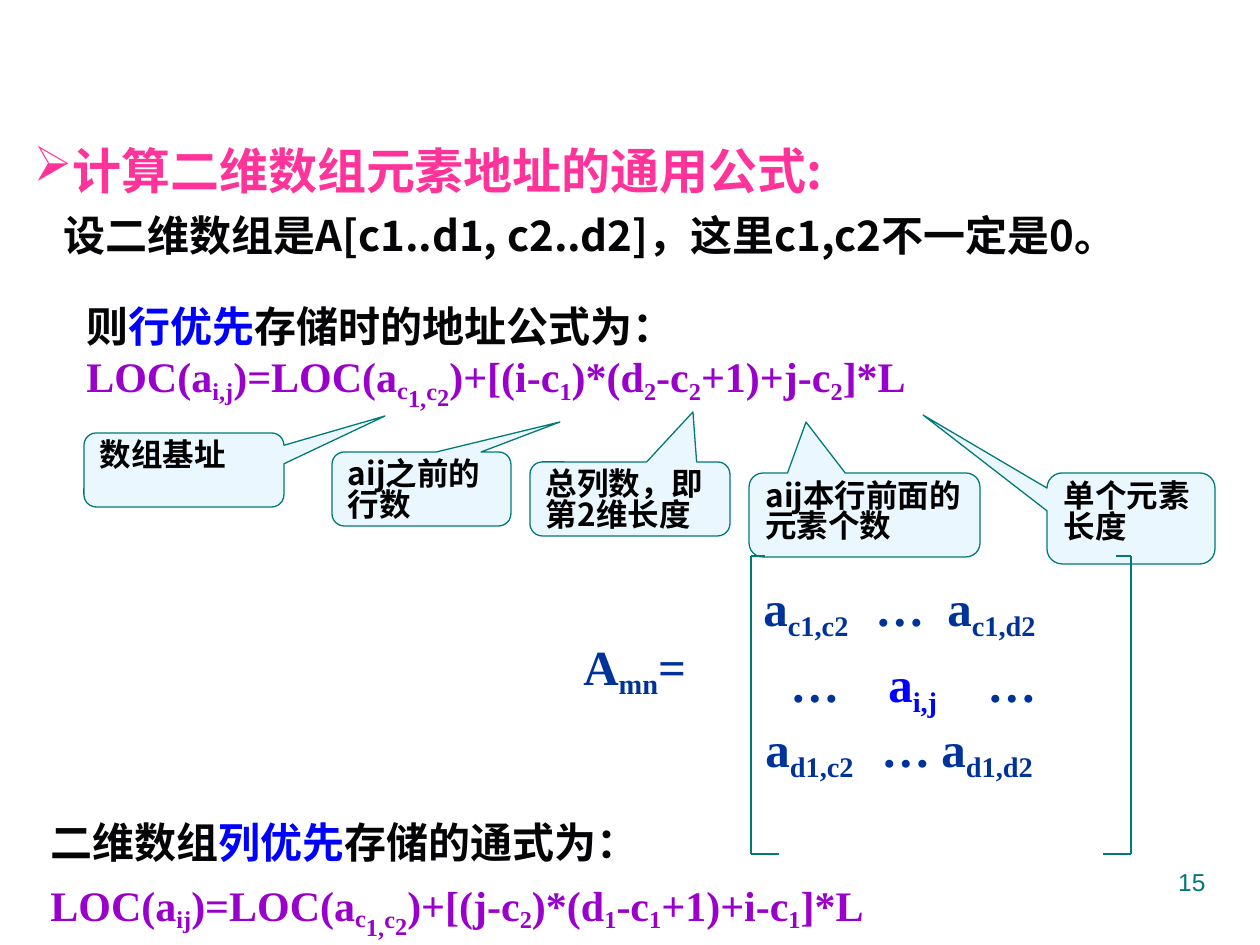
from dataclasses import dataclass
from pptx import Presentation
from pptx.dml.color import RGBColor as Rgb
from pptx.enum.shapes import MSO_CONNECTOR as Conn, MSO_SHAPE as Kind
from pptx.enum.text import MSO_ANCHOR as Anchor, MSO_AUTO_SIZE as Fit, PP_ALIGN as Align
from pptx.oxml.ns import qn
from pptx.util import Pt
from lxml.etree import SubElement as Sub


@dataclass(frozen=True)
class Theme:
    pink: str = "FF3399"
    ink: str = "050507"
    black: str = "000000"
    blue: str = "0000FF"
    navy: str = "003399"
    plum: str = "9900CC"
    teal: str = "007A77"
    pale: str = "EBF7FF"
    han: str = "Noto Sans CJK SC"
    serif: str = "Times New Roman"
    sans: str = "Arial"
    head: int = 28
    body: int = 24
    note: int = 18
    foot: int = 14


T = Theme()
SCALE = 914400 / 126


def px(n):
    return round(n * SCALE)


def add_run(para, text, size, face, color, base=0, bold=True):
    run = para.add_run()
    run.text = text
    font = run.font
    font.size, font.name, font.bold = Pt(size), face, bold
    font.color.rgb = Rgb.from_string(color)
    props = run._r.get_or_add_rPr()
    Sub(props, qn("a:ea")).set("typeface", face)
    if base:
        props.set("baseline", str(base * 1000))


def add_runs(para, parts, size, face, color):
    for text, base in parts:
        add_run(para, text, size, face, color, base)


def set_tabs(para, stops):
    tabs = Sub(para._p.get_or_add_pPr(), qn("a:tabLst"))
    for stop in stops:
        Sub(tabs, qn("a:tab"), pos=str(px(stop)), algn="l")


def set_frame(frame, anchor=Anchor.TOP):
    frame.word_wrap = True
    frame.auto_size = Fit.NONE
    frame.vertical_anchor = anchor
    return frame


def add_box(slide, *area):
    return set_frame(slide.shapes.add_textbox(*map(px, area)).text_frame)


def add_title(slide):
    title = slide.shapes.title
    title.left, title.top, title.width, title.height = map(px, (21, 125, 1239, 139))
    para = set_frame(title.text_frame, Anchor.MIDDLE).paragraphs[0]
    props = para._p.get_or_add_pPr()
    props.set("marL", str(px(30)))
    props.set("indent", str(px(-30)))
    tint = Sub(props, qn("a:buClr"))
    Sub(tint, qn("a:srgbClr")).set("val", T.pink)
    Sub(props, qn("a:buChar")).set("char", "➢")
    para.alignment = Align.LEFT
    para.line_spacing = 1.2
    add_run(para, "计算二维数组元素地址的通用公式:", T.head, T.han, T.pink)
    para.add_line_break()
    add_run(para, "设二维数组是A[c1..d1, c2..d2]，这里c1,c2不一定是0。", T.body, T.han, T.ink)


def add_rule(slide, area, lead, key, tail, parts, space):
    frame = add_box(slide, *area)
    para = frame.paragraphs[0]
    for text, color in ((lead, T.ink), (key, T.blue), (tail, T.ink)):
        add_run(para, text, T.body, T.han, color)
    last = frame.add_paragraph()
    add_runs(last, parts, T.body, T.serif, T.plum)
    para.line_spacing = last.line_spacing = space


def formula(mark, i, j, m, n):
    return [
        ("LOC(a", 0), (mark, -18), (")=LOC(a", 0),
        ("c", -16), ("1,", -36), ("c", -18), ("2", -34),
        (f")+[({i}-c", 0), (m, -18), (")*(d", 0), (n, -18),
        ("-c", 0), (n, -18), (f"+1)+{j}-c", 0), (n, -18), ("]*L", 0),
    ]


def add_note(slide, text, area, tip):
    x, y, w, h = area
    shape = slide.shapes.add_shape(Kind.ROUNDED_RECTANGULAR_CALLOUT, *map(px, area))
    shape.shadow.inherit = False
    shape.fill.solid()
    shape.fill.fore_color.rgb = Rgb.from_string(T.pale)
    shape.line.color.rgb = Rgb.from_string(T.teal)
    shape.line.width = Pt(0.75)
    shape.adjustments[0] = (tip[0] - x) / w - 0.5
    shape.adjustments[1] = (tip[1] - y) / h - 0.5
    para = set_frame(shape.text_frame).paragraphs[0]
    para.alignment = Align.LEFT
    para.line_spacing = 0.8
    add_run(para, text, T.note, T.han, T.black)


def add_line(slide, *ends):
    line = slide.shapes.add_connector(Conn.STRAIGHT, *map(px, ends))
    line.line.color.rgb = Rgb.from_string(T.teal)
    line.line.width = Pt(0.75)
    Sub(line._element.spPr, qn("a:effectLst"))


def add_side(slide, x, top, low, up, down):
    add_line(slide, x, top, x, low)
    add_line(slide, x, top, x + up, top)
    add_line(slide, x, low, x + down, low)


def add_matrix(slide):
    name = add_box(slide, 571, 630, 213, 77).paragraphs[0]
    add_runs(name, [("A", 0), ("mn", -20), ("=", 0)], T.head, T.serif, T.navy)
    rows = [
        ((10, 122, 194), (("a", "c1,c2"), ("…", ""), ("a", "c1,d2"))),
        ((37, 135, 234), (("…", ""), ("a", "i,j"), ("…", ""))),
        ((12, 128, 188), (("a", "d1,c2"), ("…", ""), ("a", "d1,d2"))),
    ]
    frame = add_box(slide, 741, 571, 406, 218)
    for at, (stops, cells) in enumerate(rows):
        para = frame.add_paragraph() if at else frame.paragraphs[0]
        set_tabs(para, stops)
        if at == 1:
            para.space_before = Pt(7)
        for text, mark in cells:
            color = T.blue if mark == "i,j" else T.navy
            add_run(para, "\t" + text, T.head, T.serif, color)
            if mark:
                add_run(para, mark, T.head, T.serif, color, -20)
    add_side(slide, 751, 556, 854, 14, 28)
    add_side(slide, 1131, 556, 854, -15, -28)


def add_page(slide):
    para = add_box(slide, 903, 861, 315, 65).paragraphs[0]
    para.alignment = Align.RIGHT
    add_run(para, "15", T.foot, T.sans, T.teal, bold=False)


def main():
    deck = Presentation()
    deck.slide_width, deck.slide_height = px(1260), px(945)
    slide = deck.slides.add_slide(deck.slide_layouts[5])
    add_title(slide)
    add_rule(slide, (38, 800, 987, 147), "二维数组", "列优先", "存储的通式为：",
             formula("ij", "j", "i", "2", "1"), 1.2)
    notes = [
        ("单个元素长度", (1047, 473, 168, 91), (923, 415)),
        ("aij之前的行数", (332, 452, 179, 74), (560, 422)),
        ("数组基址", (84, 433, 200, 74), (385, 416)),
        ("总列数，即第2维长度", (530, 462, 200, 74), (693, 412)),
        ("aij本行前面的元素个数", (749, 473, 231, 84), (806, 422)),
    ]
    for note in notes:
        add_note(slide, *note)
    add_rule(slide, (74, 294, 1071, 125), "则", "行优先", "存储时的地址公式为：",
             formula("i,j", "i", "j", "1", "2"), 1.0)
    add_matrix(slide)
    add_page(slide)
    deck.save("out.pptx")


if __name__ == "__main__":
    main()
